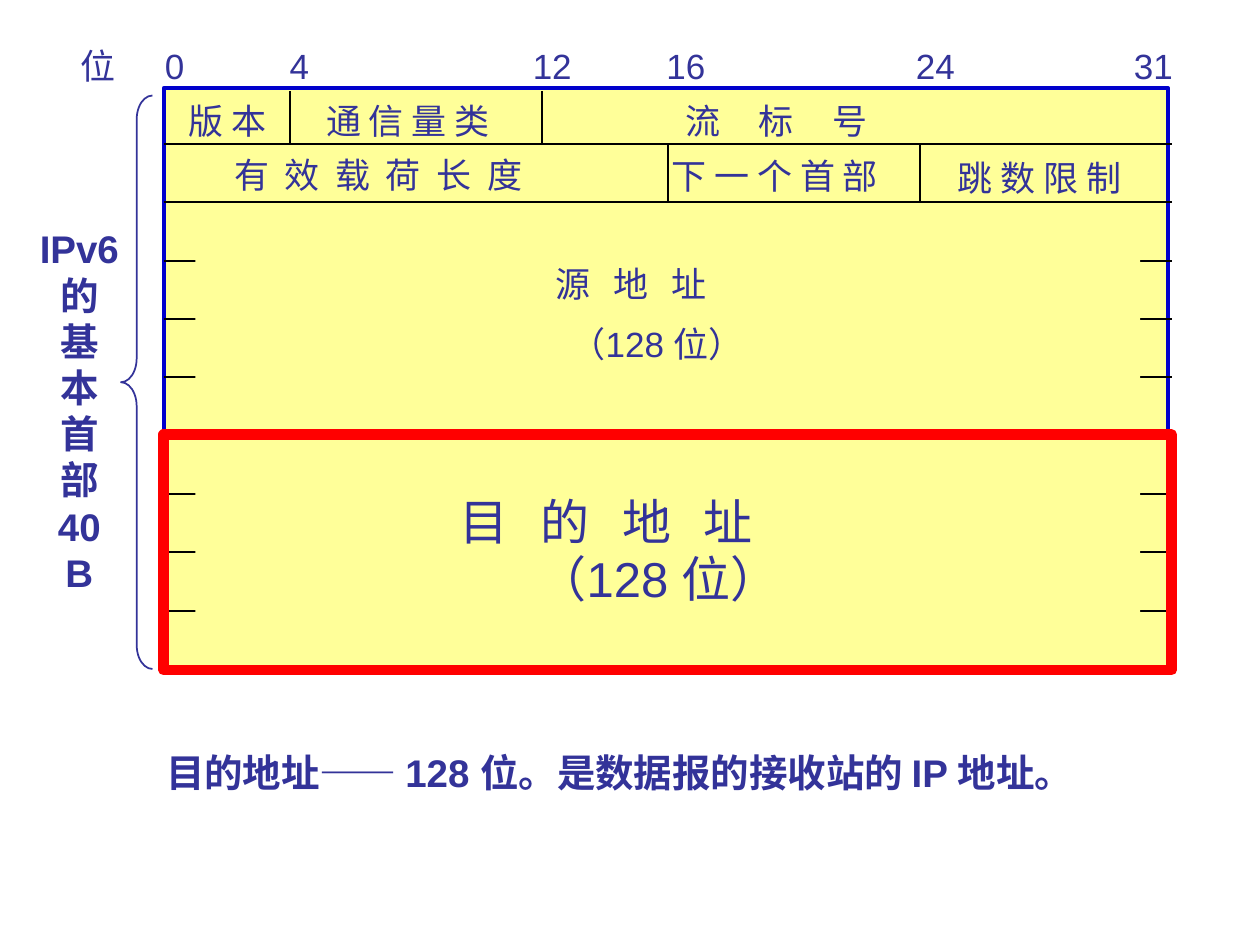
from dataclasses import dataclass

from lxml.etree import SubElement
from pptx import Presentation
from pptx.dml.color import RGBColor
from pptx.enum.shapes import MSO_CONNECTOR, MSO_SHAPE
from pptx.enum.text import MSO_AUTO_SIZE, PP_ALIGN
from pptx.oxml.ns import qn
from pptx.util import Inches, Pt


@dataclass(frozen=True)
class Theme:
    font: str = "Arial"
    ink: str = "333399"
    paper: str = "FFFF99"
    frame: str = "0000CC"
    rule: str = "000000"
    focus: str = "FF0000"
    body: int = 20
    bold: int = 22
    large: int = 28
    thin: float = 1
    medium: float = 2.25
    thick: float = 6


THEME = Theme()
LEFT, TOP = 1.3, 0.68
BIT = 8 / 32
ROW = 4.63 / 10
SPACE_SHARE = 0.22

SCALE = [("位", -3.04, 1.92), ("0", -0.36, 1.4), ("4", 3.6, 1.4),
         ("12", 11.32, 2.04), ("16", 15.56, 2.04),
         ("24", 23.48, 2.04), ("31", 30.4, 2.04)]

FIELDS = [
    ("版 本", 0.4, 0.13, 3.56, THEME.body, 1),
    ("通 信 量 类", 4.76, 0.13, 6.92, THEME.body, 1),
    ("流 标 号", 16.16, 0.13, 9.72, THEME.body, 5),
    ("有 效 载 荷 长 度", 1.84, 1.06, 13.04, THEME.body, 2),
    ("下 一 个 首 部", 15.72, 1.08, 8.6, THEME.body, 1),
    ("跳 数 限 制", 24.8, 1.1, 6.92, THEME.body, 1),
    ("源 地 址", 12.04, 2.92, 7.48, THEME.body, 3),
    ("（128 位）", 12.52, 3.95, 6.84, THEME.body, 1),
    ("目 的 地 址", 9, 6.85, 14, THEME.large, 3),
    ("（128 位）", 11.48, 7.82, 9.24, THEME.large, 1),
]

DIVIDERS = [(4, 0), (12, 0), (16, 1), (24, 1)]


def rgb(value):
    return RGBColor.from_string(value)


def x_at(bit):
    return Inches(LEFT + bit * BIT)


def y_at(row):
    return Inches(TOP + row * ROW)


def place(bit, row, bits, rows):
    return x_at(bit), y_at(row), Inches(bits * BIT), Inches(rows * ROW)


def add_block(slide, box, fill=None, line=None, width=THEME.thin,
              kind=MSO_SHAPE.RECTANGLE):
    sp = slide.shapes.add_shape(kind, *place(*box))
    sp.shadow.inherit = False
    if fill:
        sp.fill.solid()
        sp.fill.fore_color.rgb = rgb(fill)
    else:
        sp.fill.background()
    if line:
        sp.line.color.rgb = rgb(line)
        sp.line.width = Pt(width)
    else:
        sp.line.fill.background()
    return sp


def add_rule(slide, start, end):
    line = slide.shapes.add_connector(
        MSO_CONNECTOR.STRAIGHT,
        x_at(start[0]), y_at(start[1]), x_at(end[0]), y_at(end[1]))
    line.line.color.rgb = rgb(THEME.rule)
    line.line.width = Pt(THEME.thin)
    SubElement(line._element.spPr, qn("a:effectLst"))


def add_text(slide, text, box, size=THEME.body, bold=False, wrap=False,
             align=PP_ALIGN.LEFT, gap=1, leading=None):
    sp = slide.shapes.add_textbox(*place(*box))
    tf = sp.text_frame
    tf.text = text
    tf.word_wrap = wrap
    tf.auto_size = MSO_AUTO_SIZE.SHAPE_TO_FIT_TEXT
    for p in tf.paragraphs:
        p.alignment = align
        if leading:
            p.line_spacing = leading
        for r in p.runs:
            r.font.name = THEME.font
            r.font.size = Pt(size)
            r.font.bold = bold
            r.font.color.rgb = rgb(THEME.ink)
            if gap > 1:
                tracking = (gap - 1) * size * SPACE_SHARE / 2
                r._r.get_or_add_rPr().set("spc", str(round(tracking * 100)))


def add_header_grid(slide):
    add_block(slide, (0, 0.04, 31.88, 9.94), THEME.paper, THEME.frame, THEME.medium)
    for row in range(1, 10):
        add_rule(slide, (0, row), (32, row))
    for bit, row in DIVIDERS:
        add_rule(slide, (bit, row + 0.1 * (row == 0)), (bit, row + 1))
    for row in (2.66, 6.67):
        add_block(slide, (1, row, 30, 2.67), THEME.paper)


def add_brace(slide):
    brace = add_block(slide, (-1.36, 0.17, 1, 9.83), line=THEME.ink,
                      kind=MSO_SHAPE.LEFT_BRACE)
    brace.adjustments[0] = 0.76
    brace.adjustments[1] = 0.5


def main():
    prs = Presentation()
    prs.slide_width, prs.slide_height = Inches(10), Inches(7.5)
    slide = prs.slides.add_slide(prs.slide_layouts[6])

    add_header_grid(slide)
    for text, bit, bits in SCALE:
        add_text(slide, text, (bit, -0.82, bits, 0.93))
    for text, bit, row, bits, size, gap in FIELDS:
        rows = 0.93 if size == THEME.body else 1.21
        add_text(slide, text, (bit, row, bits, rows), size, gap=gap)

    add_brace(slide)
    add_text(slide, "\n".join(["IPv6", *"的基本首部", "40 B"]),
             (-4.36, 2.29, 3.36, 6.54), THEME.bold, bold=True,
             align=PP_ALIGN.CENTER)
    add_block(slide, (0, 5.98, 32, 4.04), line=THEME.focus, width=THEME.thick)
    add_text(slide, "目的地址—— 128 位。是数据报的接收站的 IP 地址。",
             (-0.32, 11.23, 34.64, 1.27), THEME.bold, bold=True, wrap=True,
             leading=1.05)
    prs.save("out.pptx")


if __name__ == "__main__":
    main()
